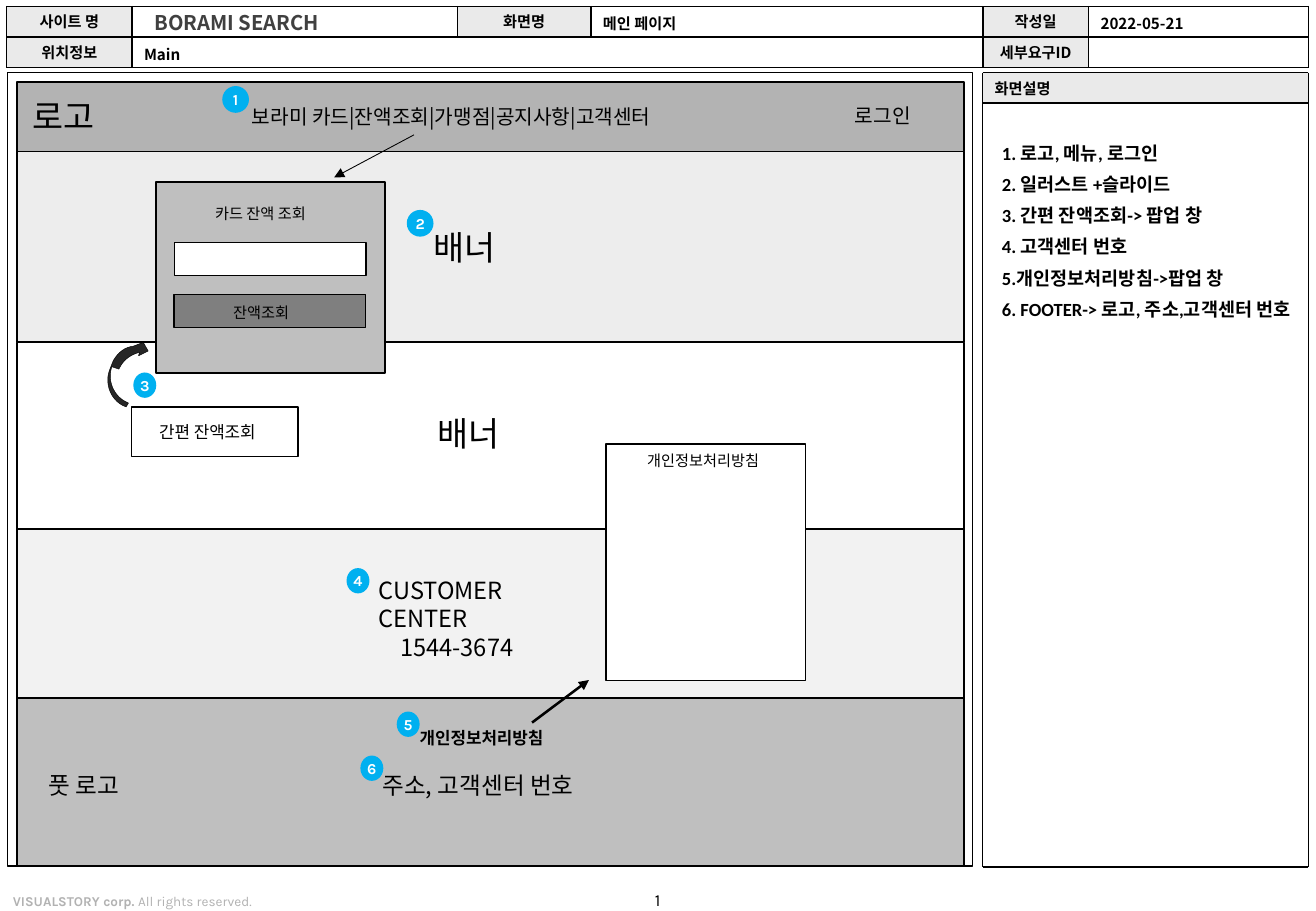
from dataclasses import dataclass
from itertools import accumulate

from lxml import etree
from pptx import Presentation
from pptx.dml.color import RGBColor
from pptx.enum import shapes, text
from pptx.oxml.ns import qn
from pptx.util import Cm, Pt

ALIGN, ANCHOR, SHAPE = text.PP_ALIGN, text.MSO_ANCHOR, shapes.MSO_SHAPE


@dataclass(frozen=True)
class Theme:
    black: str = "000000"
    white: str = "FFFFFF"
    label: str = "EAEAEA"
    menu: str = "B3B3B3"
    banner: str = "EDEDED"
    center: str = "F2F2F2"
    grey: str = "BFBFBF"
    button: str = "7F7F7F"
    badge: str = "00B0F0"
    arrow: str = "262626"
    title: str = "404040"
    credit: str = "B2B2B2"
    cjk: str = "Noto Sans CJK KR"
    latin: str = "Calibri"
    ui: str = "Karla"
    tiny: int = 8
    small: int = 9
    body: int = 10
    note: int = 11
    nav: int = 12
    large: int = 14
    head: int = 20


T = Theme()


@dataclass(frozen=True)
class Panel:
    x: float
    y: float
    w: float
    h: float
    fill: str
    line: float = 1


@dataclass(frozen=True)
class Tag:
    text: str
    x: float
    y: float
    w: float
    align: ALIGN = ALIGN.CENTER
    font: str = T.cjk


@dataclass(frozen=True)
class Label:
    text: str
    x: float
    y: float
    w: float
    h: float
    size: int
    align: ALIGN = ALIGN.LEFT
    bold: bool = False
    color: str = T.black
    font: str = T.cjk
    wrap: bool = True
    spacing: float = 1.0


@dataclass(frozen=True)
class Badge:
    x: float
    y: float
    w: float = 0.48
    h: float = 0.53


@dataclass(frozen=True)
class Line:
    x1: float
    y1: float
    x2: float
    y2: float
    width: float = 1
    head: bool = False


ROW = 0.64
LEFT, TOP = 0.14, 0.13
COLUMNS = [2.62, 6.81, 2.79, 8.2, 2.21, 4.6]
EDGES = [round(x, 2) for x in accumulate(COLUMNS, initial=LEFT)]
SIDE, RIGHT = EDGES[4], EDGES[6]
MIDDLE, BOTTOM = TOP + ROW, TOP + 2 * ROW
NOTE_TOP, NOTE_BOTTOM = 1.52, 18.13
CELLS = {(0, 3): "메인 페이지", (0, 5): "2022-05-21", (1, 1): "Main"}

TAGS = [
    Tag("화면설명", SIDE, NOTE_TOP, RIGHT - SIDE, ALIGN.LEFT, T.ui),
    *(Tag(name, EDGES[n], y, COLUMNS[n]) for name, n, y in [
        ("사이트 명", 0, TOP), ("화면명", 2, TOP), ("작성일", 4, TOP),
        ("위치정보", 0, MIDDLE), ("세부요구ID", 4, MIDDLE)]),
]
LINES = [
    Line(SIDE, NOTE_TOP + ROW, RIGHT, NOTE_TOP + ROW),
    *(Line(x, NOTE_TOP, x, NOTE_BOTTOM, 0.75) for x in (SIDE, RIGHT)),
    *(Line(SIDE, y, RIGHT, y, 0.75) for y in (NOTE_TOP, NOTE_BOTTOM)),
    *(Line(EDGES[n], TOP, EDGES[n], BOTTOM) for n in (1, 4, 5)),
    *(Line(EDGES[n], TOP, EDGES[n], MIDDLE) for n in (2, 3)),
    Line(LEFT, MIDDLE, RIGHT, MIDDLE),
    *(Line(x, TOP, x, BOTTOM, 0.75) for x in (LEFT, RIGHT)),
    *(Line(LEFT, y, RIGHT, y, 0.75) for y in (TOP, BOTTOM)),
]
ARROWS = [Line(11.13, 15.11, 12.32, 14.22, 1.5, True), Line(8.66, 2.82, 6.99, 3.71, 0.5, True)]

BAND_TOP = 1.72
BANDS = [(1.45, T.menu), (3.99, T.banner), (3.91, T.white), (3.53, T.center), (3.51, T.grey)]
BAND_TOPS = accumulate((h for h, _ in BANDS), initial=BAND_TOP)
PANELS = [
    Panel(0.16, NOTE_TOP, 20.19, 16.59, T.white, 0.75),
    *(Panel(0.36, y, 19.81, h, fill) for y, (h, fill) in zip(BAND_TOPS, BANDS)),
    Panel(2.75, 8.51, 3.48, 1.04, T.white),
    Panel(3.26, 3.81, 4.8, 3.99, T.grey),
    Panel(3.65, 5.07, 4.01, 0.69, T.white),
    Panel(3.64, 6.16, 4.01, 0.69, T.button),
    Panel(12.68, 9.28, 4.17, 4.95, T.white),
]

NOTES = """1. 로고, 메뉴, 로그인
2. 일러스트 +슬라이드
3. 간편 잔액조회-> 팝업 창
4. 고객센터 번호
5.개인정보처리방침->팝업 창
6. FOOTER-> 로고, 주소,고객센터 번호"""
LABELS = [
    Label("BORAMI SEARCH", 1.96, 0.06, 5.99, 0.81, T.nav, ALIGN.CENTER, True, T.title, spacing=1.07),
    Label("로고", 0.39, 1.88, 1.88, 1.12, T.head, ALIGN.CENTER, wrap=False),
    Label("보라미 카드|잔액조회|가맹점|공지사항|고객센터", 5.02, 2.06, 10.36, 0.76, T.nav, ALIGN.JUSTIFY),
    Label("로그인", 16.97, 2.04, 3, 0.76, T.nav, ALIGN.CENTER),
    Label("배너", 8.81, 4.61, 2.21, 1.12, T.head),
    Label("배너", 8.86, 8.51, 1.88, 1.12, T.head, ALIGN.CENTER, wrap=False),
    Label("간편 잔액조회", 3.08, 8.69, 2.87, 0.69, T.body),
    Label("카드 잔액 조회", 4.25, 4.14, 2.82, 0.64, T.small),
    Label("잔액조회", 4.63, 6.21, 2.29, 0.64, T.small),
    Label("개인정보처리방침", 13.29, 9.31, 2.95, 0.64, T.small, wrap=False),
    Label("개인정보처리방침", 8.53, 15.09, 3.25, 0.69, T.body, bold=True),
    Label("풋 로고", 0.77, 16, 2.18, 0.86, T.large),
    Label("주소, 고객센터 번호", 7.75, 16, 4.93, 0.86, T.large),
    Label("1", 11.18, 18.48, 5.16, 0.74, T.body, ALIGN.CENTER, font=T.ui),
]
NOTE_LABEL = Label(NOTES, 20.86, 2.78, 6.45, 7.87, T.note, bold=True, font=T.latin, spacing=1.4)
PHONE_LABEL = Label("CUSTOMER CENTER\n1544-3674", 7.67, 11.92, 5, 2.03, T.large)
CREDIT_LABEL = Label("VISUALSTORY corp.", 0.02, 18.54, 7.34, 0.61, T.tiny, bold=True, color=T.credit, font=T.ui)

BADGES = [Badge(4.65, 1.8, 0.56, 0.56), Badge(8.51, 4.39, 0.56, 0.56), Badge(2.79, 7.79),
          Badge(7.25, 11.88), Badge(8.3, 14.88), Badge(7.54, 15.8)]

LOOP_START = (2.64, 8.51)
LOOP = [
    [(2.34, 8.41), (2.18, 8.05), (2.29, 7.75)], [(2.34, 7.62)],
    [(2.41, 7.42), (2.59, 7.26), (2.79, 7.24)], [(3, 7.16)], [(3.1, 7.34)], [(2.9, 7.44)], [(2.92, 7.37)],
    [(2.72, 7.42), (2.57, 7.54), (2.49, 7.72)], [(2.34, 7.67)],
    [(2.24, 7.98), (2.39, 8.31), (2.69, 8.43)],
]


def rgb(color: str) -> RGBColor:
    return RGBColor.from_string(color)


def style_run(r, size: int, bold: bool, color: str, font: str) -> None:
    r.font.size, r.font.bold, r.font.name = Pt(size), bold, font
    r.font.color.rgb = rgb(color)
    etree.SubElement(r.font._element, qn("a:ea"), typeface=T.cjk)


def paint(sp, fill: str, width: float) -> None:
    sp.shadow.inherit = False
    sp.fill.solid()
    sp.fill.fore_color.rgb = rgb(fill)
    if width:
        sp.line.color.rgb = rgb(T.black)
        sp.line.width = Pt(width)
    else:
        sp.line.fill.background()


def add_panel(s, panel: Panel, kind: SHAPE = SHAPE.RECTANGLE):
    sp = s.shapes.add_shape(kind, Cm(panel.x), Cm(panel.y), Cm(panel.w), Cm(panel.h))
    paint(sp, panel.fill, panel.line)
    return sp


def write(tf, value: str, align: ALIGN, color: str, font: str) -> None:
    tf.vertical_anchor = ANCHOR.MIDDLE
    p = tf.paragraphs[0]
    p.text, p.alignment = value, align
    style_run(p.runs[0], T.small, True, color, font)


def add_tag(s, tag: Tag) -> None:
    sp = add_panel(s, Panel(tag.x, tag.y, tag.w, ROW, T.label, 0))
    write(sp.text_frame, tag.text, tag.align, T.black, tag.font)


def add_badge(s, number: int, badge: Badge) -> None:
    tf = add_panel(s, Panel(badge.x, badge.y, badge.w, badge.h, T.badge, 0), SHAPE.OVAL).text_frame
    tf.margin_left = tf.margin_right = tf.margin_top = tf.margin_bottom = 0
    write(tf, str(number), ALIGN.CENTER, T.white, T.ui)


def add_label(s, label: Label):
    tf = s.shapes.add_textbox(Cm(label.x), Cm(label.y), Cm(label.w), Cm(label.h)).text_frame
    tf.word_wrap = label.wrap
    tf.text = label.text
    for p in tf.paragraphs:
        p.alignment, p.line_spacing = label.align, label.spacing
        for r in p.runs:
            style_run(r, label.size, label.bold, label.color, label.font)
    return tf


def add_line(s, line: Line) -> None:
    c = s.shapes.add_connector(shapes.MSO_CONNECTOR.STRAIGHT, Cm(line.x1), Cm(line.y1), Cm(line.x2), Cm(line.y2))
    c.line.color.rgb = rgb(T.black)
    c.line.width = Pt(line.width)
    if line.head:
        etree.SubElement(c.line._get_or_add_ln(), qn("a:tailEnd"), type="triangle")
    etree.SubElement(c._element.spPr, qn("a:effectLst"))


def add_loop_arrow(s, steps: int = 12) -> None:
    points = [LOOP_START]
    for part in LOOP:
        if len(part) == 1:
            points += part
            continue
        a, (b, c, d) = points[-1], part
        for t in (i / steps for i in range(1, steps + 1)):
            k = 1 - t
            points.append(tuple(k**3 * a[n] + 3 * k * k * t * b[n] + 3 * k * t * t * c[n] + t**3 * d[n]
                                for n in (0, 1)))
    outline = [(Cm(x), Cm(y)) for x, y in points]
    builder = s.shapes.build_freeform(*outline[0])
    builder.add_line_segments(outline[1:], close=True)
    paint(builder.convert_to_shape(), T.arrow, 0.25)


def style_cell(cell, value: str) -> None:
    cell.margin_top, cell.margin_bottom = Cm(0.06), 0
    cell.vertical_anchor = ANCHOR.MIDDLE
    for side in ("lnL", "lnR", "lnT", "lnB"):
        ln = etree.SubElement(cell._tc.get_or_add_tcPr(), qn(f"a:{side}"), w=str(Pt(0.45)))
        etree.SubElement(etree.SubElement(ln, qn("a:solidFill")), qn("a:srgbClr"), val=T.black)
    cell.fill.background()
    p = cell.text_frame.paragraphs[0]
    if value:
        p.text = value
        style_run(p.runs[0], T.small, True, T.black, T.cjk)
    else:
        p._p.get_or_add_endParaRPr().set("sz", str(T.small * 100))


def add_header(s) -> None:
    table = s.shapes.add_table(2, len(COLUMNS), Cm(LEFT), Cm(TOP), Cm(sum(COLUMNS)), Cm(2 * ROW)).table
    for j, width in enumerate(COLUMNS):
        table.columns[j].width = Cm(width)
        for i in (0, 1):
            table.rows[i].height = Cm(ROW)
            style_cell(table.cell(i, j), CELLS.get((i, j), ""))
    table.cell(1, 1).merge(table.cell(1, 3))


def main() -> None:
    prs = Presentation()
    prs.slide_width, prs.slide_height = Cm(27.53), Cm(19.05)
    s = prs.slides.add_slide(prs.slide_layouts[6])
    for draw, items in ((add_tag, TAGS), (add_line, LINES), (add_panel, PANELS), (add_label, LABELS)):
        for item in items:
            draw(s, item)
    add_header(s)
    notes = add_label(s, NOTE_LABEL)
    notes.margin_left = Cm(0.1)
    notes.margin_top = notes.margin_right = notes.margin_bottom = 0
    phone = add_label(s, PHONE_LABEL).paragraphs[1]
    phone._p.get_or_add_pPr().set("marL", str(Cm(0.45)))
    r = add_label(s, CREDIT_LABEL).paragraphs[0].add_run()
    r.text = " All rights reserved."
    style_run(r, T.tiny, False, T.credit, T.ui)
    add_loop_arrow(s)
    for number, badge in enumerate(BADGES, 1):
        add_badge(s, number, badge)
    for arrow in ARROWS:
        add_line(s, arrow)
    prs.save("out.pptx")


if __name__ == "__main__":
    main()
